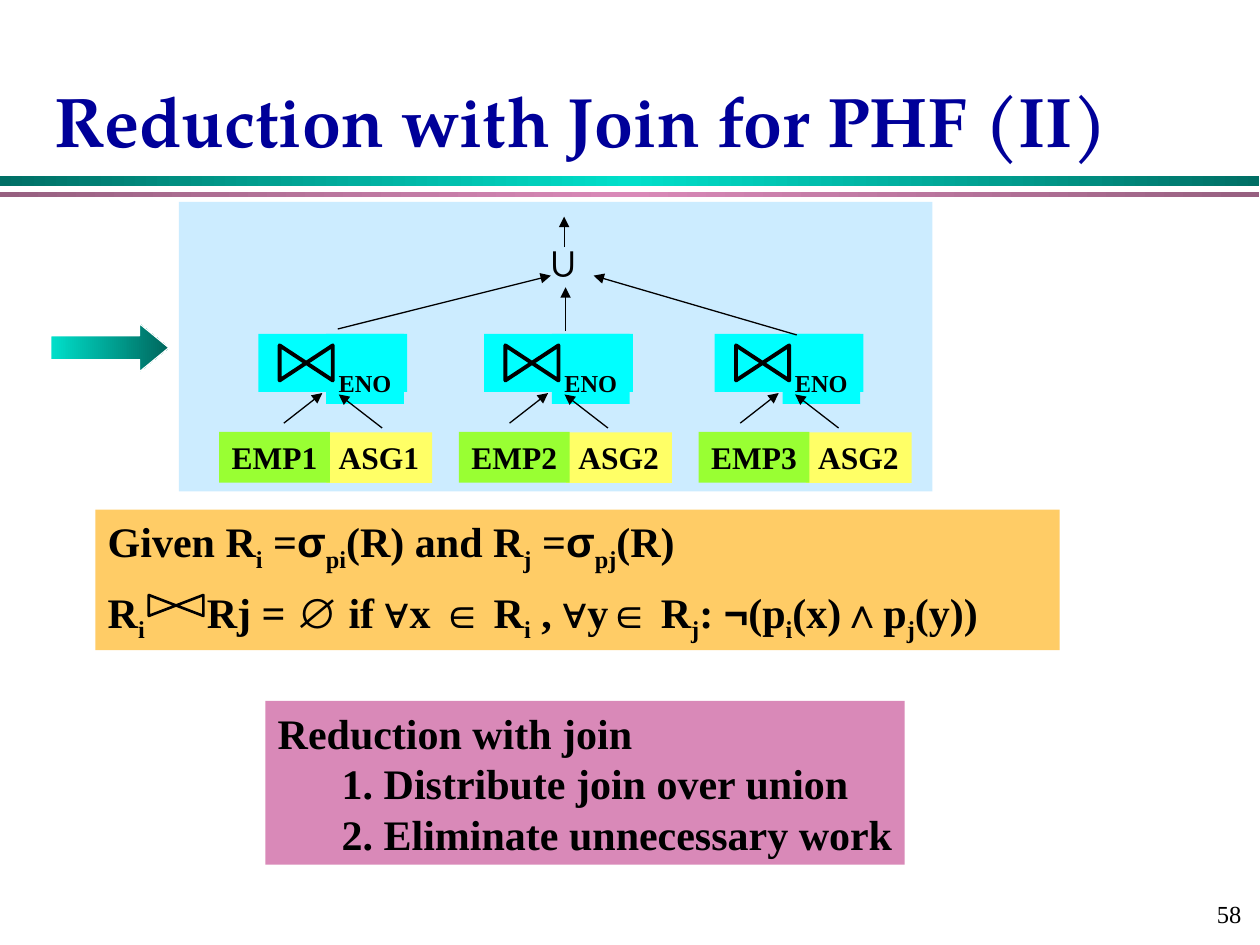
from dataclasses import dataclass
from typing import NamedTuple, Optional

from lxml.etree import SubElement
from pptx import Presentation
from pptx.dml.color import RGBColor
from pptx.enum.shapes import MSO_CONNECTOR, MSO_SHAPE
from pptx.enum.text import MSO_ANCHOR as Anchor, PP_ALIGN as Align
from pptx.oxml.ns import qn
from pptx.util import Pt

SERIF, SYMBOL, TITLE = "Times New Roman", "Arial", "TeX Gyre Pagella"
BLACK = RGBColor(0x00, 0x00, 0x00)
WHITE = RGBColor(0xFF, 0xFF, 0xFF)
NAVY = RGBColor(0x00, 0x00, 0x99)
TEAL_DARK = RGBColor(0x00, 0x6F, 0x65)
TEAL_DEEP = RGBColor(0x00, 0x67, 0x5D)
TEAL = RGBColor(0x00, 0xDF, 0xCA)
PLUM = RGBColor(0x97, 0x60, 0x80)
PINK = RGBColor(0xD9, 0x89, 0xB8)
SKY = RGBColor(0xCC, 0xEC, 0xFF)
YELLOW = RGBColor(0xFF, 0xFF, 0x66)
GREEN = RGBColor(0x99, 0xFF, 0x33)
CYAN = RGBColor(0x00, 0xFF, 0xFF)
ORANGE = RGBColor(0xFF, 0xCC, 0x66)


class Box(NamedTuple):
    left: float
    top: float
    width: float
    height: float


class Point(NamedTuple):
    x: float
    y: float


class Run(NamedTuple):
    text: str
    font: str = SERIF
    subscript: bool = False


@dataclass(frozen=True)
class JoinBranch:
    """One EMP-ASG join; lefts are those of the leaf pair and the join box."""
    employee: str
    assignment: str
    leaf_left: float
    join_left: float


BRANCHES = [
    JoinBranch("EMP1", "ASG1", 125.3, 147.6),
    JoinBranch("EMP2", "ASG2", 262.3, 276.6),
    JoinBranch("EMP3", "ASG2", 399.3, 408.4),
]
UNION_ARROWS = [
    (Point(193, 188), Point(314.8, 157.5)),
    (Point(323.2, 189.2), Point(323.2, 164.2)),
    (Point(455.3, 191.4), Point(339.2, 157.5)),
    (Point(322.4, 141.2), Point(322.4, 123.8)),
]


def sub(text: str) -> Run:
    return Run(text, subscript=True)


def sym(text: str) -> Run:
    return Run(text, SYMBOL)


SELECTIONS = [
    Run("Given R"), sub("i"), Run(" ="), sym("σ"), sub("pi"), Run("(R) and R"),
    sub("j"), Run(" ="), sym("σ"), sub("pj"), Run("(R)"),
]
EMPTY_JOIN = [
    Run("R"), sub("i"), Run("\tRj = "), sym("∅"), Run(" if "), sym("∀"),
    Run("x "), sym("∈"), Run(" R"), sub("i"), Run(" , "), sym("∀"), Run("y"),
    sym("∈"), Run(" R"), sub("j"), Run(": "), sym("¬"), Run("(p"), sub("i"),
    Run("(x)"), sym("∧"), Run("p"), sub("j"), Run("(y))"),
]


def write(shape, paragraphs: list[list[Run]], size: float, *, color=BLACK,
          bold=True, align=Align.LEFT, anchor=Anchor.TOP, wrap=False,
          space_after=0.0) -> list:
    """Fill the shape with runs and return its paragraphs."""
    frame = shape.text_frame
    frame.word_wrap = wrap
    frame.vertical_anchor = anchor
    for index, runs in enumerate(paragraphs):
        paragraph = frame.add_paragraph() if index else frame.paragraphs[0]
        paragraph.alignment = align
        paragraph.space_after = Pt(space_after)
        for text, font_name, subscript in runs:
            run = paragraph.add_run()
            run.text = text
            font = run.font
            font.name, font.size, font.bold = font_name, Pt(size), bold
            font.color.rgb = color
            if subscript:
                run._r.get_or_add_rPr().set("baseline", "-25000")
    return list(frame.paragraphs)


def add_text(slide, box: Box, run: Run, size: float, **style) -> None:
    write(slide.shapes.add_textbox(*map(Pt, box)), [[run]], size, **style)


def add_block(slide, box: Box, fill: Optional[RGBColor] = None,
              kind=MSO_SHAPE.RECTANGLE):
    block = slide.shapes.add_shape(kind, *map(Pt, box))
    block.shadow.inherit = False
    block.line.fill.background()
    if fill is not None:
        block.fill.solid()
        block.fill.fore_color.rgb = fill
    return block


def shade(shape, *colors: RGBColor) -> None:
    """Apply a left-to-right gradient with evenly spaced colours."""
    shape.fill.gradient()
    shape.fill.gradient_angle = 0
    stops = shape._element.spPr.find(qn("a:gradFill")).find(qn("a:gsLst"))
    stops.clear()
    for index, color in enumerate(colors):
        position = 100000 * index // (len(colors) - 1)
        stop = SubElement(stops, qn("a:gs"), pos=str(position))
        SubElement(stop, qn("a:srgbClr"), val=str(color))


def add_arrow(slide, start: Point, end: Point) -> None:
    arrow = slide.shapes.add_connector(
        MSO_CONNECTOR.STRAIGHT, *map(Pt, (*start, *end)))
    arrow.line.color.rgb = BLACK
    arrow.line.width = Pt(0.75)
    SubElement(arrow.line._get_or_add_ln(), qn("a:tailEnd"), type="triangle")
    SubElement(arrow._element.spPr, qn("a:effectLst"))


def add_bowtie(slide, box: Box, weight: float,
               fill: Optional[RGBColor] = None) -> None:
    """Draw the relational join sign."""
    left, top = Pt(box.left), Pt(box.top)
    right, bottom = Pt(box.left + box.width), Pt(box.top + box.height)
    outline = slide.shapes.build_freeform(left, top)
    outline.add_line_segments(
        [(left, bottom), (right, top), (right, bottom)], close=True)
    bowtie = outline.convert_to_shape()
    bowtie.shadow.inherit = False
    bowtie.line.color.rgb = BLACK
    bowtie.line.width = Pt(weight)
    if fill is None:
        bowtie.fill.background()
    else:
        bowtie.fill.solid()
        bowtie.fill.fore_color.rgb = fill


def add_branch(slide, branch: JoinBranch) -> None:
    leaf, join = branch.leaf_left, branch.join_left
    assignment = add_block(slide, Box(leaf + 61.2, 247, 60.5, 29), YELLOW)
    write(assignment, [[Run(branch.assignment)]], 18)
    employee = add_block(slide, Box(leaf, 246.8, 63.2, 29), GREEN)
    write(employee, [[Run(branch.employee)]], 18)
    add_block(slide, Box(join, 190.8, 85, 33.2), CYAN)
    attribute = add_block(slide, Box(join + 38.8, 190.8, 44.4, 40), CYAN)
    write(attribute, [[sub("ENO")]], 24)
    add_bowtie(slide, Box(join + 12.2, 197.4, 30.4, 20), 2.25, CYAN)
    add_arrow(slide, Point(join + 14.6, 241.8), Point(join + 36.6, 224.6))
    add_arrow(slide, Point(join + 70.8, 244.6), Point(join + 46, 225.4))


def main() -> None:
    prs = Presentation()
    prs.slide_width, prs.slide_height = Pt(720), Pt(540)
    slide = prs.slides.add_slide(prs.slide_layouts[6])

    shade(add_block(slide, Box(0, 100.8, 719.5, 5.6)),
          TEAL_DARK, TEAL, TEAL_DARK)
    shade(add_block(slide, Box(0, 109.6, 719.5, 3)), PLUM, PINK, PLUM)
    add_text(slide, Box(570.2, 504, 149.8, 36), Run("58 "), 14, bold=False,
             align=Align.RIGHT, anchor=Anchor.MIDDLE)
    add_text(slide, Box(24, 18, 666, 78), Run("Reduction with Join for PHF (II)", TITLE),
             40, color=NAVY, anchor=Anchor.BOTTOM, wrap=True)

    add_block(slide, Box(102.2, 115.4, 430.6, 165.4), SKY)
    for branch in BRANCHES:
        add_branch(slide, branch)
    add_text(slide, Box(306.4, 131, 33, 36), sym("∪"), 24)
    for start, end in UNION_ARROWS:
        add_arrow(slide, start, end)

    result = add_block(slide, Box(29, 185, 67.5, 27.4), kind=MSO_SHAPE.RIGHT_ARROW)
    result.adjustments[0], result.adjustments[1] = 0.5, 0.61
    shade(result, TEAL, TEAL_DEEP)
    result.line.color.rgb = WHITE
    result.line.width = Pt(0.75)

    rule = add_block(slide, Box(54.5, 291.2, 551, 80.4), ORANGE)
    _, empty_join = write(rule, [SELECTIONS, EMPTY_JOIN], 24, wrap=True,
                          space_after=7.5)
    tabs = SubElement(empty_join._p.get_or_add_pPr(), qn("a:tabLst"))
    SubElement(tabs, qn("a:tab"), pos=str(Pt(56.6)), algn="l")
    add_bowtie(slide, Box(85, 340, 31.2, 12), 1.5)

    summary = add_block(slide, Box(151.6, 400.6, 365.4, 93.6), PINK)
    _, *steps = write(summary, [[Run("Reduction with join")],
                                [Run("1. Distribute join over union")],
                                [Run("2. Eliminate unnecessary work")]], 24)
    for step in steps:
        step._p.get_or_add_pPr().set("marL", str(Pt(36.6)))

    prs.save("out.pptx")


if __name__ == "__main__":
    main()
